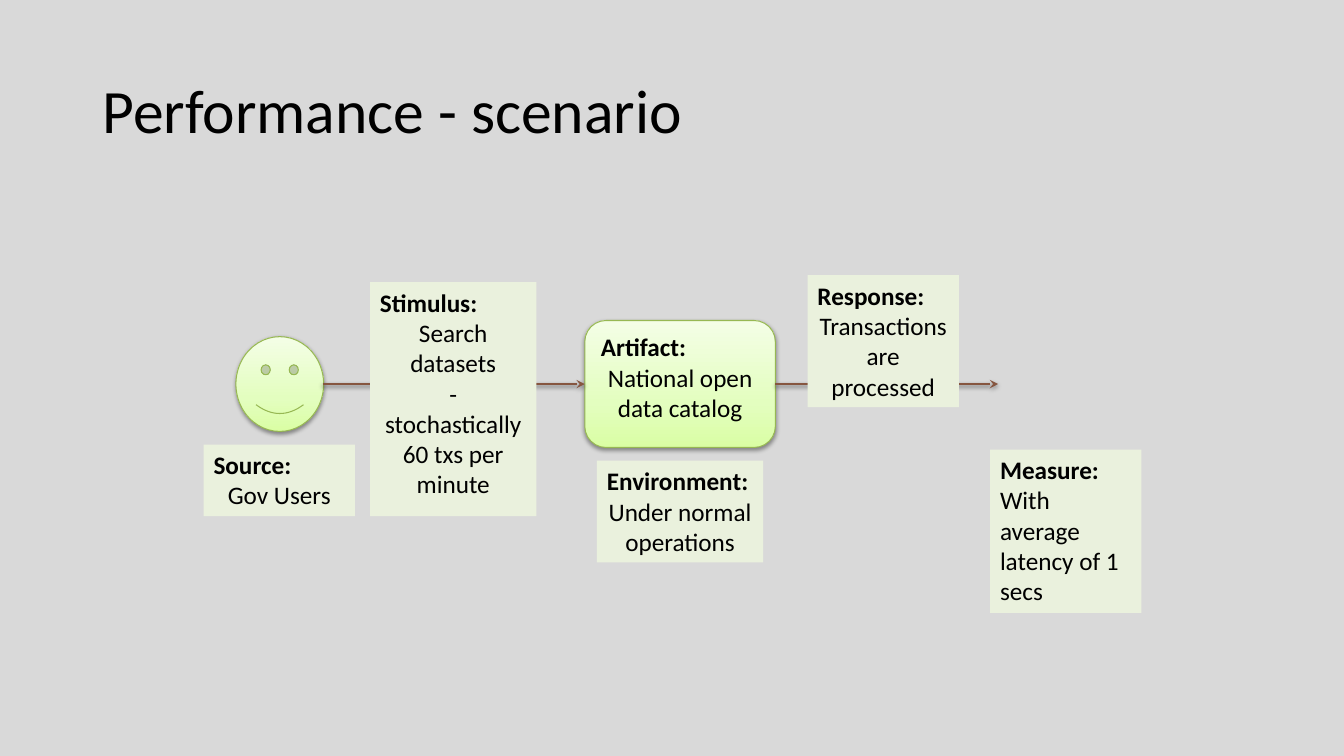
from copy import deepcopy
from dataclasses import dataclass

from lxml import etree
from pptx import Presentation
from pptx.dml.color import RGBColor
from pptx.enum import shapes, text
from pptx.oxml import ns
from pptx.util import Inches, Pt


@dataclass(frozen=True)
class Theme:
    """Colours, font and type sizes of the slide."""
    back: str = "D9D9D9"
    ink: str = "000000"
    note: str = "EAF1DD"
    edge: str = "97B853"
    arrow: str = "865640"
    glow: tuple = ((0, "DAFEA4"), (0.35, "E3FEBF"), (1, "F4FEE6"))
    font: str = "Calibri"
    head: int = 44
    body: int = 18


class Board:
    """Draws the scenario elements on one slide."""

    def __init__(self, slide, theme):
        """Keep the slide and theme, and paint the background."""
        self.slide, self.theme = slide, theme
        fill = slide.background.fill
        fill.solid()
        fill.fore_color.rgb = RGBColor.from_string(theme.back)

    def style(self, par, size, bold=False):
        """Format the runs of a paragraph."""
        for run in par.runs:
            run.font.name = self.theme.font
            run.font.size = Pt(size)
            run.font.bold = bold
            run.font.color.rgb = RGBColor.from_string(self.theme.ink)

    def title(self, words, left, top, width, height):
        """Add the slide title."""
        box = self.slide.shapes.add_textbox(*map(Inches, (left, top, width, height)))
        frame = box.text_frame
        frame.word_wrap = True
        frame.vertical_anchor = text.MSO_ANCHOR.MIDDLE
        frame.text = words
        frame.paragraphs[0].line_spacing = 0.9
        self.style(frame.paragraphs[0], self.theme.head)

    def label(self, shape, lines, align):
        """Write a bold heading and its plain lines in a shape."""
        frame = shape.text_frame
        frame.word_wrap = True
        frame.text = "\n".join(lines)
        for i, par in enumerate(frame.paragraphs):
            par.alignment = align if i else text.PP_ALIGN.LEFT
            self.style(par, self.theme.body, bold=i == 0)

    def note(self, lines, left, top, width, height, align=text.PP_ALIGN.CENTER):
        """Add a flat note that describes one part of the scenario."""
        box = self.slide.shapes.add_shape(
            shapes.MSO_SHAPE.RECTANGLE, *map(Inches, (left, top, width, height)))
        box.shadow.inherit = False
        box.fill.solid()
        box.fill.fore_color.rgb = RGBColor.from_string(self.theme.note)
        box.line.fill.background()
        box.text_frame.vertical_anchor = text.MSO_ANCHOR.TOP
        self.label(box, lines, align)
        box.text_frame.auto_size = text.MSO_AUTO_SIZE.SHAPE_TO_FIT_TEXT

    def shade(self, shape):
        """Give a shape or connector a soft shadow below it."""
        props = shape._element.spPr
        effect = etree.SubElement(props, ns.qn("a:effectLst"))
        cast = etree.SubElement(effect, ns.qn("a:outerShdw"), blurRad=str(Pt(3.1)),
                                dist=str(Pt(1.6)), dir="5400000", rotWithShape="0")
        tint = etree.SubElement(cast, ns.qn("a:srgbClr"), val=self.theme.ink)
        etree.SubElement(tint, ns.qn("a:alpha"), val="38000")

    def node(self, kind, left, top, width, height, bend):
        """Add a shaded node with a green gradient."""
        shape = self.slide.shapes.add_shape(kind, *map(Inches, (left, top, width, height)))
        shape.adjustments[0] = bend
        shape.fill.gradient()
        shape.fill.gradient_angle = 90
        stops = shape._element.spPr.find(".//" + ns.qn("a:gsLst"))
        stops.append(deepcopy(stops[0]))
        for stop, (place, tone) in zip(shape.fill.gradient_stops, self.theme.glow):
            stop.position = place
            stop.color.rgb = RGBColor.from_string(tone)
        shape.line.color.rgb = RGBColor.from_string(self.theme.edge)
        shape.line.width = Pt(0.75)
        self.shade(shape)
        return shape

    def arrow(self, start, end, level):
        """Add a level arrow and return it."""
        line = self.slide.shapes.add_connector(
            shapes.MSO_CONNECTOR.STRAIGHT, *map(Inches, (start, level, end, level)))
        line.line.color.rgb = RGBColor.from_string(self.theme.arrow)
        line.line.width = Pt(2)
        etree.SubElement(line.line._get_or_add_ln(), ns.qn("a:tailEnd"), type="stealth")
        self.shade(line)
        return line


def main():
    """Build and save the performance scenario."""
    deck = Presentation()
    deck.slide_width, deck.slide_height = Inches(13.33), Inches(7.5)
    board = Board(deck.slides.add_slide(deck.slide_layouts[6]), Theme())
    level, wide, slim = 3.81, 1.65, 1.5

    board.title("Performance - scenario", 0.92, 0.4, 11.5, 1.45)
    board.node(shapes.MSO_SHAPE.SMILEY_FACE, 2.34, level - 0.47, 0.87, 0.94, 0.047)
    board.note(["Source:", "Gov Users"], 2.02, 4.41, slim, 0.71)
    core = board.node(shapes.MSO_SHAPE.ROUNDED_RECTANGLE, 5.8, level - 0.63, 1.89, 1.26, 0.167)
    board.label(core, ["Artifact:", "National open data catalog"], text.PP_ALIGN.CENTER)
    core.text_frame.vertical_anchor = text.MSO_ANCHOR.TOP

    board.arrow(3.2, 5.8, level).end_connect(core, 1)
    board.note(["Stimulus:", "Search datasets", "-", "stochastically 60 txs per minute"],
               3.67, 2.8, wide, 2.32)
    board.arrow(7.69, 9.9, level).begin_connect(core, 3)
    board.note(["Environment:", "Under normal operations"], 5.92, 4.57, wide, 1.01)
    board.note(["Response:", "Transactions are processed"], 8.01, 2.73, slim, 1.31)
    board.note(["Measure:", "With average latency of 1 secs"],
               9.82, 4.46, slim, 1.62, text.PP_ALIGN.LEFT)
    deck.save("out.pptx")


if __name__ == "__main__":
    main()
